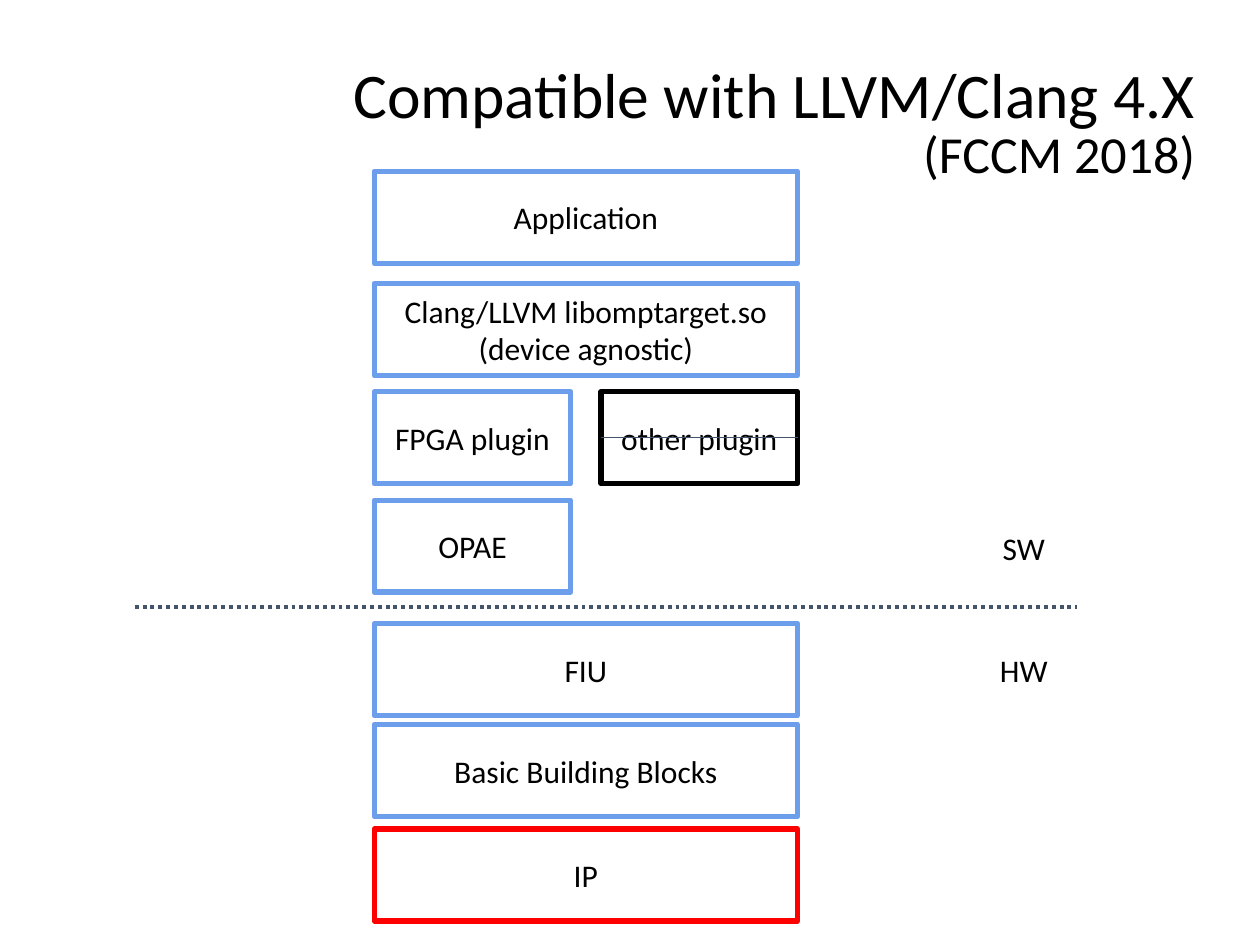
"""Build the slide of a software and hardware stack for LLVM/Clang."""
from lxml import etree
from pptx import Presentation
from pptx import util as u
from pptx.dml.color import RGBColor
from pptx.enum import dml, shapes, text
from pptx.oxml import ns

THEME = {
    "font": "Calibri",
    "ink": RGBColor(0, 0, 0),
    "blue": RGBColor(0x6D, 0x9E, 0xEB),
    "red": RGBColor(0xFF, 0, 0),
    "slate": RGBColor(0x44, 0x54, 0x6A),
    "title": 36.3,
    "venue": 29.7,
    "body": 18,
}
LEFT, WIDE, HALF, HIGH = 2.97, 3.36, 1.56, 0.73
RIGHT = LEFT + WIDE - HALF


def write(shape, lines, sizes, align, form):
    frame = shape.text_frame
    for key, val in form.items():
        setattr(frame, key, val)
    frame.text = "\n".join(lines)
    for para, size in zip(frame.paragraphs, sizes):
        para.alignment = align
        look = {"name": THEME["font"], "size": u.Pt(size), "bold": False}
        for run in para.runs:
            for key, val in look.items():
                setattr(run.font, key, val)
            run.font.color.rgb = THEME["ink"]


def rule(x1, x2, y, width):
    line = slide.shapes.add_connector(
        shapes.MSO_CONNECTOR.STRAIGHT,
        u.Inches(x1), u.Inches(y), u.Inches(x2), u.Inches(y))
    line.line.color.rgb = THEME["slate"]
    line.line.width = u.Pt(width)
    etree.SubElement(line._element.spPr, ns.qn("a:effectLst"))
    return line


deck = Presentation()
deck.slide_width, deck.slide_height = u.Inches(10), u.Inches(7.5)
slide = deck.slides.add_slide(deck.slide_layouts[5])

title = slide.shapes.title
place = {"left": 0.28, "top": 0.5, "width": 9.31, "height": 1.45}
for key, val in place.items():
    setattr(title, key, u.Inches(val))
write(title, ["Compatible with LLVM/Clang 4.X", "(FCCM 2018)"],
      [THEME["title"], THEME["venue"]], text.PP_ALIGN.RIGHT,
      {"word_wrap": True, "auto_size": text.MSO_AUTO_SIZE.NONE,
       "vertical_anchor": text.MSO_ANCHOR.TOP, "margin_top": u.Inches(0.1)})
for para, gap in zip(title.text_frame.paragraphs, (0, 5.5)):
    para.line_spacing = 0.7
    para.space_before = u.Pt(gap)

inset = u.Inches(0.1)
form = {"word_wrap": True, "vertical_anchor": text.MSO_ANCHOR.MIDDLE,
        "margin_left": inset, "margin_right": inset,
        "margin_top": inset, "margin_bottom": inset}

layers = [
    (["Application"], LEFT, 1.36, WIDE, "blue"),
    (["Clang/LLVM libomptarget.so", "(device agnostic)"],
     LEFT, 2.25, WIDE, "blue"),
    (["FPGA plugin"], LEFT, 3.11, HALF, "blue"),
    (["other plugin"], RIGHT, 3.11, HALF, "ink"),
    (["OPAE"], LEFT, 3.97, HALF, "blue"),
    (["FIU"], LEFT, 4.95, WIDE, "blue"),
    (["Basic Building Blocks"], LEFT, 5.75, WIDE, "blue"),
    (["IP"], LEFT, 6.58, WIDE, "red"),
]
boxes = {}
for lines, x, y, width, color in layers:
    box = slide.shapes.add_shape(
        shapes.MSO_SHAPE.RECTANGLE,
        u.Inches(x), u.Inches(y), u.Inches(width), u.Inches(HIGH))
    box.shadow.inherit = False
    box.fill.background()
    box.line.color.rgb = THEME[color]
    box.line.width = u.Pt(3)
    write(box, lines, [THEME["body"]] * len(lines),
          text.PP_ALIGN.CENTER, form)
    boxes[lines[0]] = box

strike = rule(RIGHT, RIGHT + HALF, 3.47, 0.75)
strike.begin_connect(boxes["other plugin"], 1)
strike.end_connect(boxes["other plugin"], 3)

border = rule(1.07, 8.55, 4.82, 2.25)
border.line.dash_style = dml.MSO_LINE.ROUND_DOT

for name, y in (("SW", 3.98), ("HW", 4.95)):
    label = slide.shapes.add_textbox(
        u.Inches(7.69), u.Inches(y), u.Inches(0.87), u.Inches(HIGH))
    write(label, [name], [THEME["body"]], text.PP_ALIGN.CENTER, form)

deck.save("out.pptx")
